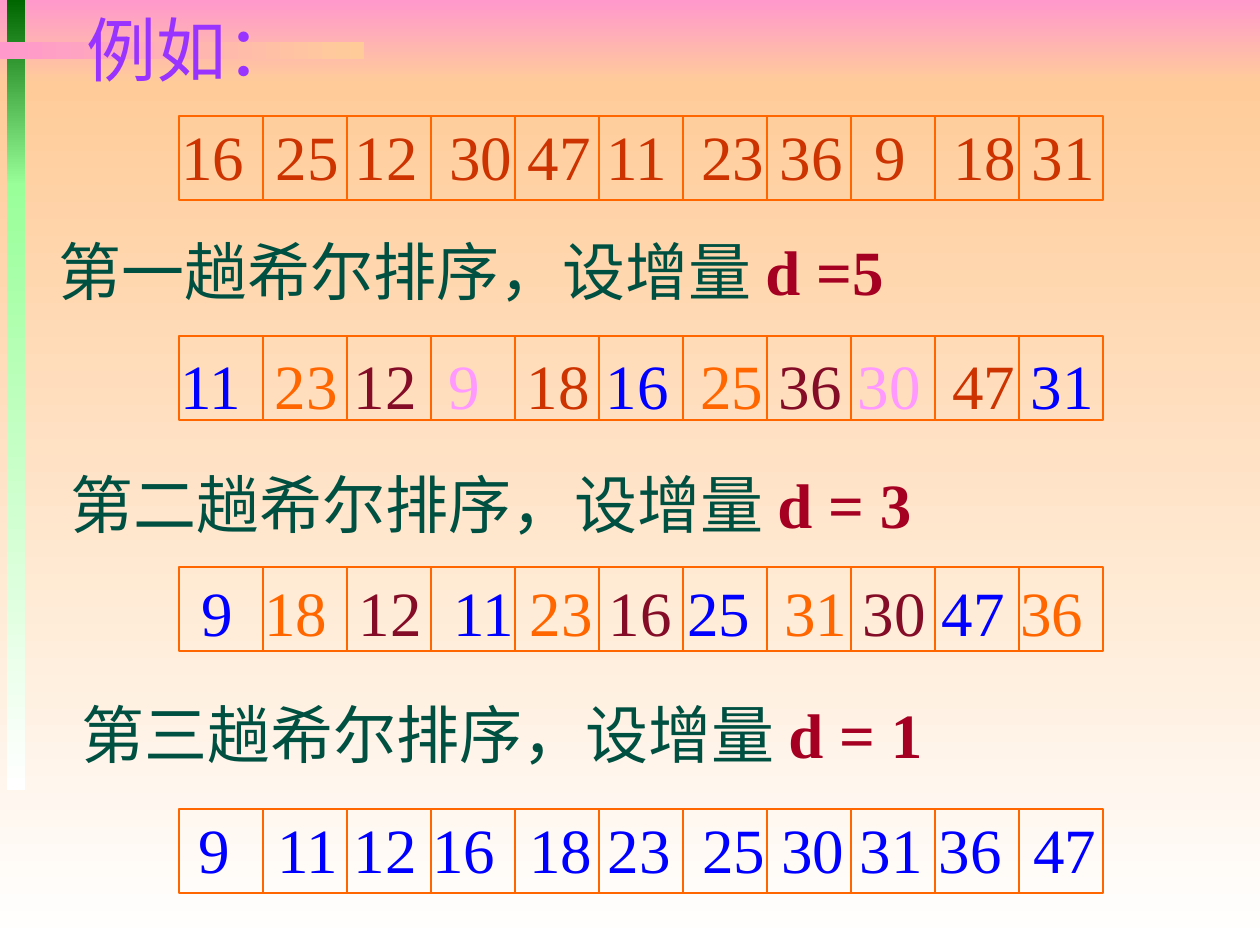
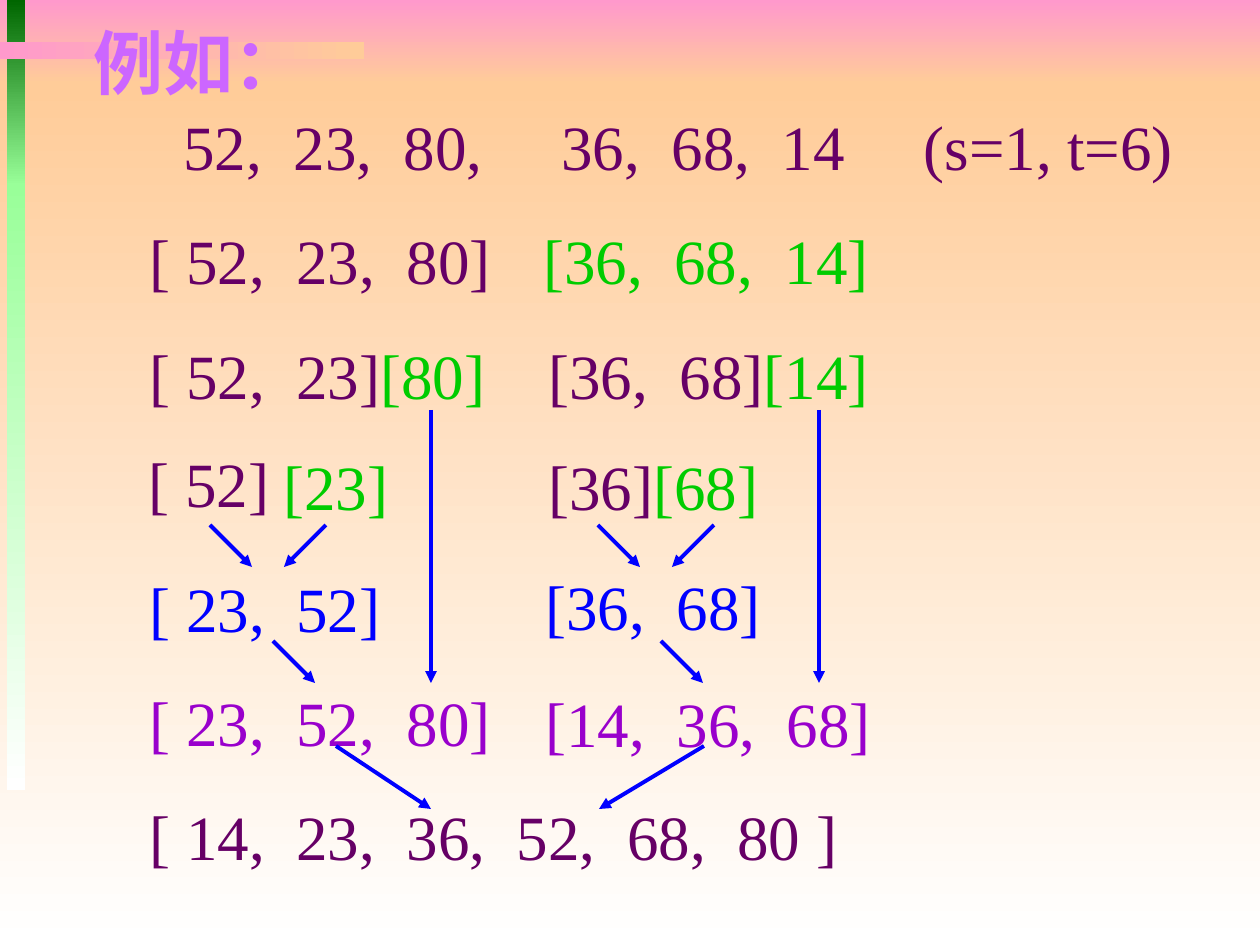
"""Builds two slides that trace Shell sort and merge sort step by step."""
import pptx
import pptx.dml.color
import pptx.enum.dml
import pptx.enum.shapes
import pptx.enum.text
import pptx.oxml.ns
import pptx.util
from lxml import etree

PX = 914400 / 126
FONT = "Times New Roman"
SIZE = 36
SPACE = 15.75
GLYPHS = {" ": 0.25, ",": 0.25, "[": 1 / 3, "]": 1 / 3}
BLUE, ORANGE, RUST, WINE, PINK = "0000FF", "FF6600", "CC3300", "840C26", "FF99FF"
PURPLE, GREEN, VIOLET = "660066", "00CC00", "9900CC"

BANDS = [
    ((0, 0, 1260, 84), ("FF99CC", "FFCC99"), 270),
    ((0, 84, 1260, 861), ("FFCC99", "FFFFFF"), 270),
    ((7, 0, 18, 186), ("006600", "99FF99"), 270),
    ((7, 184, 18, 606), ("99FF99", "FFFFFF"), 270),
    ((0, 42, 364, 17), ("FFCC99", "FF99CC"), 180),
]

CELL, ARRAY_LEFT = 84, 179
ARRAYS = [
    {"top": 116, "text": (169, 111), "values": (16, 25, 12, 30, 47, 11, 23, 36, 9, 18, 31),
     "gaps": (2, 1, 2, 1, 1, 2, 1, 2, 3, 1, 0), "colors": (RUST,)},
    {"top": 336, "text": (168, 340), "values": (11, 23, 12, 9, 18, 16, 25, 36, 30, 47, 31),
     "gaps": (2, 1, 2, 3, 1, 2, 1, 1, 2, 1, 0), "colors": (BLUE, ORANGE, WINE, PINK, RUST)},
    {"top": 567, "text": (189, 567), "values": (9, 18, 12, 11, 23, 16, 25, 31, 30, 47, 36),
     "gaps": (2, 2, 2, 1, 1, 1, 2, 1, 1, 1, 0), "colors": (BLUE, ORANGE, WINE)},
    {"top": 809, "text": (186, 804), "values": (9, 11, 12, 16, 18, 23, 25, 30, 31, 36, 47),
     "gaps": (3, 1, 1, 2, 1, 2, 1, 1, 1, 2, 0), "colors": (BLUE,)},
]
PASSES = [(46, 226, "一", "d =5"), (58, 459, "二", "d = 3"), (69, 689, "三", "d = 1")]

MERGE_ROWS = [
    (171, 101, 1014, [("52,|23,|80,", PURPLE, 5), ("36,|68,|14", PURPLE, 5),
                      ("(s=1, t=6)", PURPLE, 0)]),
    (137, 215, 743, [("[ 52,|23,|80]", PURPLE, 3.33), ("[36,|68,|14]", GREEN, 0)]),
    (137, 330, 360, [("[ 52,|23]", PURPLE, 0), ("[80]", GREEN, 0)]),
    (136, 438, 158, [("[ 52]", PURPLE, 0)]),
    (137, 563, 256, [("[ 23,|52]", BLUE, 0)]),
    (137, 677, 367, [("[ 23,|52,|80]", VIOLET, 0)]),
    (536, 330, 345, [("[36,|68]", PURPLE, 0), ("[14]", GREEN, 0)]),
    (536, 441, 234, [("[36]", PURPLE, 0), ("[68]", GREEN, 0)]),
    (533, 561, 241, [("[36,|68]", BLUE, 0)]),
    (533, 678, 350, [("[14,|36,|68]", VIOLET, 0)]),
    (137, 791, 713, [("[ 14,|23,|36,|52,|68,|80 ]", PURPLE, 0)]),
    (271, 441, 130, [("[23]", GREEN, 0)]),
]
HALF_ARROWS = [(210, 525, 252, 567), (326, 525, 284, 567), (273, 641, 315, 683),
               (431, 410, 431, 683)]
HALF_SHIFT = 388
FINAL_ARROWS = [(336, 746, 431, 809), (704, 746, 599, 809)]


def px(value):
    return pptx.util.Emu(round(value * PX))


def rgb(value):
    return pptx.dml.color.RGBColor.from_string(value)


def apply(target, values):
    for name, value in values.items():
        setattr(target, name, value)


def text_width(text):
    return sum(GLYPHS.get(glyph, 0.5) for glyph in text) * SIZE * 1.75


def place(shape, left, top, width, height):
    apply(shape, {"left": px(left), "top": px(top), "width": px(width), "height": px(height)})


def add_span(para, text, color, size=SIZE, bold=False):
    span = para.add_run()
    span.text = text
    apply(span.font, {"name": FONT, "size": pptx.util.Pt(size), "bold": bold})
    span.font.color.rgb = rgb(color)


def add_box(page, left, top, width):
    box = page.shapes.add_textbox(px(left), px(top), px(width + 8), px(88))
    box.text_frame.word_wrap = True
    return box.text_frame.paragraphs[0]


def add_spaced_text(page, left, top, width, pieces):
    """Writes pieces of (text, colour, gap in spaces), with tab stops for wide gaps."""
    para = add_box(page, left, top, width)
    spans, stops, reach = [], [], 0
    for text, color, gap in pieces:
        parts = text.split("|")
        for index, part in enumerate(parts):
            spaces = gap if index == len(parts) - 1 else 2
            reach += text_width(part) + spaces * SPACE
            if spaces > 1:
                stops.append(reach)
            spans.append((part + ("\t" if spaces > 1 else " " * spaces), color))
    if stops:
        tabs = etree.SubElement(para._p.get_or_add_pPr(), pptx.oxml.ns.qn("a:tabLst"))
        for stop in stops:
            etree.SubElement(tabs, pptx.oxml.ns.qn("a:tab"), pos=str(px(stop)), algn="l")
    for text, color in spans:
        add_span(para, text, color)


def add_line(page, ends, color, width, arrow=False):
    line = page.shapes.add_connector(pptx.enum.shapes.MSO_CONNECTOR.STRAIGHT, *map(px, ends))
    line.line.color.rgb = rgb(color)
    line.line.width = pptx.util.Pt(width)
    if arrow:
        etree.SubElement(line.line._get_or_add_ln(), pptx.oxml.ns.qn("a:tailEnd"), type="triangle")
    etree.SubElement(line._element.spPr, pptx.oxml.ns.qn("a:effectLst"))


def add_rectangle(page, left, top, width, height):
    shape = page.shapes.add_shape(pptx.enum.shapes.MSO_SHAPE.RECTANGLE,
                                  *map(px, (left, top, width, height)))
    shape.shadow.inherit = False
    return shape


def add_master_bands(deck, page):
    """Draws the gradient bands and moves them to the master behind its placeholders."""
    for index, (area, colors, angle) in enumerate(BANDS):
        band = add_rectangle(page, *area)
        band.line.fill.background()
        band.fill.gradient()
        band.fill.gradient_angle = angle
        for stop, color in zip(band.fill.gradient_stops, colors):
            stop.color.rgb = rgb(color)
        band.element.nvSpPr.cNvPr.id = 100 + index
        deck.slide_master.shapes.element.insert(2 + index, band.element)


def set_title(page, left, top, color, bold):
    title = page.shapes.title
    place(title, left, top, 240, 97)
    apply(title.text_frame, {"vertical_anchor": pptx.enum.text.MSO_ANCHOR.TOP,
                             "word_wrap": True,
                             "auto_size": pptx.enum.text.MSO_AUTO_SIZE.NONE})
    para = title.text_frame.paragraphs[0]
    para.alignment = pptx.enum.text.PP_ALIGN.LEFT
    add_span(para, "例如：", color, 40, bold)


def add_array(page, array):
    count, top = len(array["values"]), array["top"]
    frame = add_rectangle(page, ARRAY_LEFT, top, CELL * count, CELL)
    frame.fill.background()
    frame.line.color.rgb = rgb(ORANGE)
    frame.line.width = pptx.util.Pt(0.75)
    for index in range(1, count):
        left = ARRAY_LEFT + CELL * index
        add_line(page, (left, top, left, top + CELL), ORANGE, 0.75)
    colors = array["colors"]
    pieces = [(str(value), colors[index % len(colors)], gap)
              for index, (value, gap) in enumerate(zip(array["values"], array["gaps"]))]
    add_spaced_text(page, *array["text"], 960, pieces)


def build_shell_sort(page):
    set_title(page, 74, 0, "9933FF", False)
    for array in ARRAYS:
        add_array(page, array)
    for left, top, number, step in PASSES:
        para = add_box(page, left, top, 900)
        add_span(para, f"第{number}趟希尔排序，设增量 ", "005042")
        add_span(para, step, "A50021", bold=True)


def build_merge_sort(page):
    set_title(page, 81, 13, "CC66FF", True)
    for row in MERGE_ROWS:
        add_spaced_text(page, *row)
    shifted = [(x1 + HALF_SHIFT, y1, x2 + HALF_SHIFT, y2) for x1, y1, x2, y2 in HALF_ARROWS]
    for ends in HALF_ARROWS + shifted + FINAL_ARROWS:
        add_line(page, ends, BLUE, 2.25, arrow=True)


def main():
    deck = pptx.Presentation()
    apply(deck, {"slide_width": px(1260), "slide_height": px(945)})
    pages = [deck.slides.add_slide(deck.slide_layouts[5]) for _ in range(2)]
    add_master_bands(deck, pages[0])
    build_shell_sort(pages[0])
    build_merge_sort(pages[1])
    deck.save("out.pptx")


if __name__ == "__main__":
    main()
